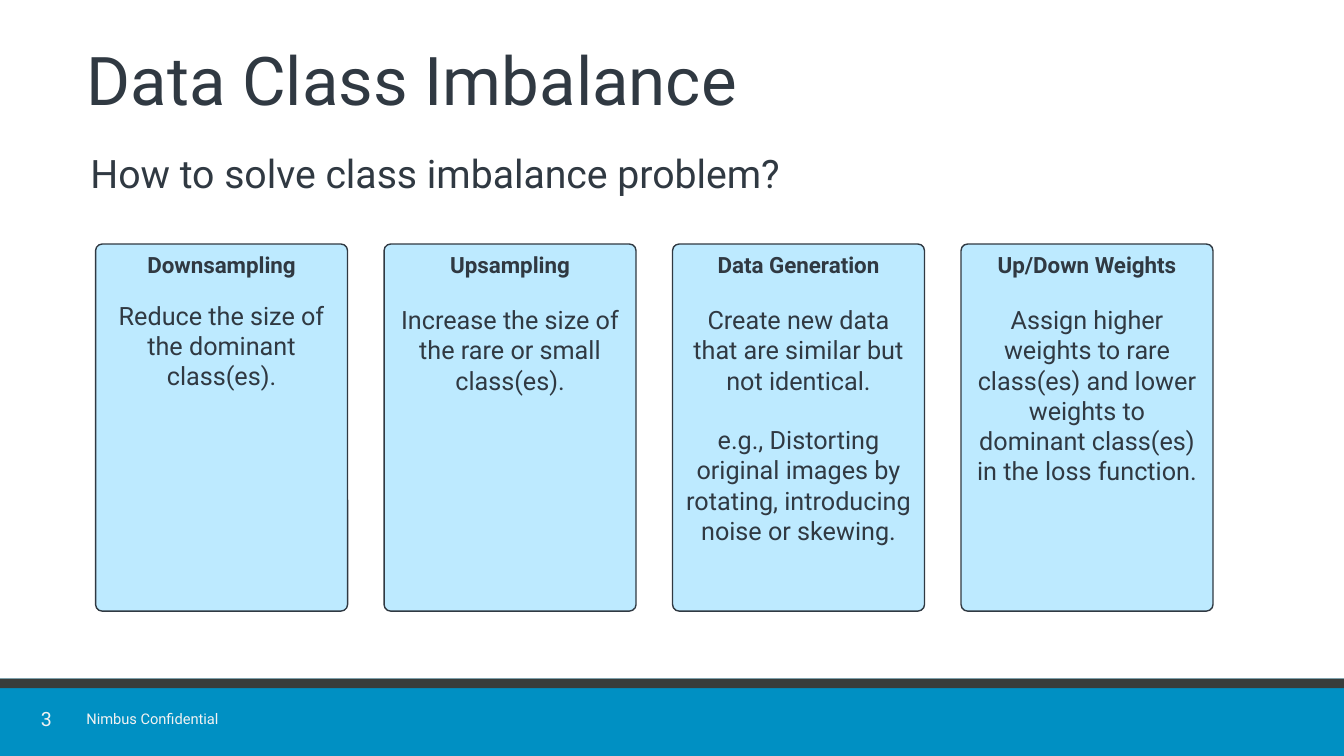
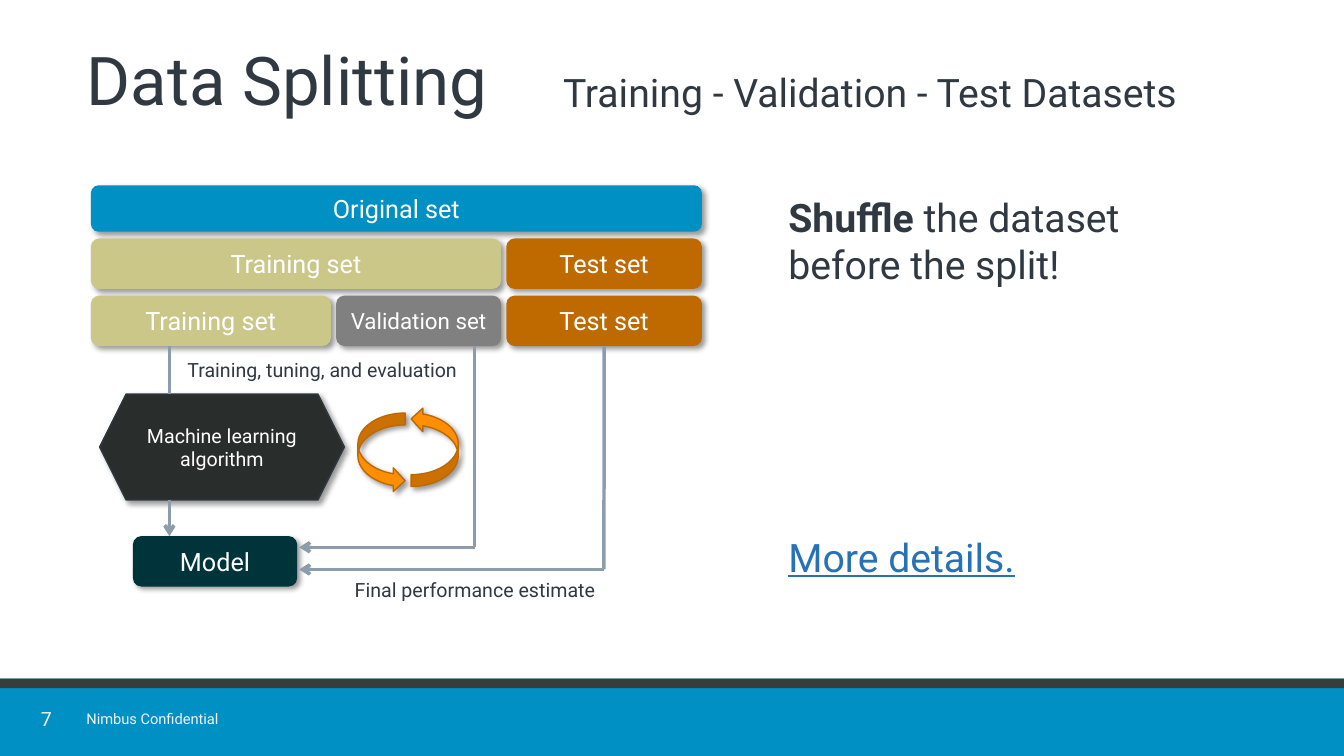
from lxml.etree import SubElement
from pptx import Presentation
from pptx.dml.color import RGBColor
from pptx.enum.shapes import MSO_CONNECTOR, MSO_SHAPE
from pptx.enum.text import MSO_ANCHOR, PP_ALIGN
from pptx.oxml.ns import qn
from pptx.util import Cm, Pt

FONT = "Roboto"
INK = RGBColor(0x30, 0x39, 0x42)
WHITE = RGBColor(0xFF, 0xFF, 0xFF)
FOOTER_TEXT = RGBColor(0xF2, 0xF2, 0xF2)
BLUE = RGBColor(0x00, 0x90, 0xC3)
CHARCOAL = RGBColor(0x38, 0x3D, 0x3B)
PALE_BLUE = RGBColor(0xBD, 0xEA, 0xFF)
KHAKI = RGBColor(0xCA, 0xC7, 0x89)
RUST = RGBColor(0xBF, 0x6A, 0x00)
GRAY = RGBColor(0x80, 0x80, 0x80)
BLACKISH = RGBColor(0x29, 0x2E, 0x2C)
DARK_TEAL = RGBColor(0x00, 0x34, 0x3B)
ORANGE = RGBColor(0xFF, 0x8E, 0x00)
ORANGE_EDGE = RGBColor(0xBD, 0x69, 0x00)
FLOW = RGBColor(0x8C, 0x9C, 0xAC)
LINK = RGBColor(0x27, 0x72, 0xB6)

SLIDE_W, SLIDE_H = 33.87, 19.05
BAND_TOP = 17.1

CARDS = [
    ("Downsampling", 16, ["Reduce the size of the dominant class(es)."]),
    ("Upsampling", 19, ["Increase the size of the rare or small class(es)."]),
    ("Data Generation", 19, [
        "Create new data that are similar but not identical.",
        "e.g., Distorting original images by rotating, introducing noise or skewing."]),
    ("Up/Down Weights", 19, [
        "Assign higher weights to rare class(es) and lower weights to "
        "dominant class(es) in the loss function."]),
]

# Each row: height, then (label, width, fill, text size) from left to right
SPLIT_ROWS = [
    (1.17, [("Original set", 15.4, BLUE, 18)]),
    (1.27, [("Training set", 10.34, KHAKI, 18), ("Test set", 4.93, RUST, 18)]),
    (1.27, [("Training set", 6.05, KHAKI, 18), ("Validation set", 4.16, GRAY, 16),
            ("Test set", 4.93, RUST, 18)]),
]


def add_run(p, text, size, color=INK, bold=False, underline=False):
    r = p.add_run()
    r.text = text
    r.font.name = FONT
    r.font.size = Pt(size)
    r.font.color.rgb = color
    r.font.bold = bold
    r.font.underline = underline


def add_text(slide, x, y, w, h, text, size, **style):
    """Add a one-run text box and return its paragraph."""
    tf = slide.shapes.add_textbox(Cm(x), Cm(y), Cm(w), Cm(h)).text_frame
    tf.word_wrap = True
    p = tf.paragraphs[0]
    add_run(p, text, size, **style)
    return p


def add_shape(slide, kind, x, y, w, h, fill, edge=None, cast_shadow=False):
    sp = slide.shapes.add_shape(kind, Cm(x), Cm(y), Cm(w), Cm(h))
    sp.fill.solid()
    sp.fill.fore_color.rgb = fill
    if edge is None:
        sp.line.fill.background()
    else:
        sp.line.color.rgb = edge
        sp.line.width = Pt(1)
    sp.shadow.inherit = False
    if cast_shadow:
        effects = sp._element.spPr.find(qn("a:effectLst"))
        shadow = SubElement(effects, qn("a:outerShdw"), blurRad=str(Pt(4)),
                            dist=str(Pt(3)), dir="2700000", algn="tl")
        black = SubElement(shadow, qn("a:srgbClr"), val="000000")
        SubElement(black, qn("a:alpha"), val="40000")
    return sp


def add_block(slide, kind, x, y, w, h, label, size, fill, edge=None):
    """Add a shadowed diagram shape with a centred white label."""
    sp = add_shape(slide, kind, x, y, w, h, fill, edge, cast_shadow=True)
    tf = sp.text_frame
    tf.vertical_anchor = MSO_ANCHOR.MIDDLE
    p = tf.paragraphs[0]
    p.alignment = PP_ALIGN.CENTER
    add_run(p, label, size, WHITE)
    return sp


def add_line(slide, x1, y1, x2, y2, arrow=False):
    line = slide.shapes.add_connector(MSO_CONNECTOR.STRAIGHT,
                                      Cm(x1), Cm(y1), Cm(x2), Cm(y2))
    line.line.color.rgb = FLOW
    line.line.width = Pt(2.5)
    if arrow:
        SubElement(line.line._get_or_add_ln(), qn("a:tailEnd"), type="arrow")
    SubElement(line._element.spPr, qn("a:effectLst"))
    return line


def add_base_slide(prs, title, number):
    """Add a slide with its title, bottom bands and footer."""
    slide = prs.slides.add_slide(prs.slide_layouts[5])
    for height, color in ((SLIDE_H - BAND_TOP, BLUE), (0.24, CHARCOAL)):
        add_shape(slide, MSO_SHAPE.RECTANGLE, 0, BAND_TOP, SLIDE_W, height, color)
    p = add_text(slide, 0.42, 17.7, 1.5, 0.85, number, 14, color=FOOTER_TEXT)
    p.alignment = PP_ALIGN.CENTER
    add_text(slide, 1.93, 17.75, 5, 0.71, "Nimbus Confidential", 10.5, color=FOOTER_TEXT)

    sp = slide.shapes.title
    sp.left, sp.top, sp.width, sp.height = Cm(1.93), Cm(0.81), Cm(30.25), Cm(2.74)
    tf = sp.text_frame
    tf.vertical_anchor = MSO_ANCHOR.MIDDLE
    p = tf.paragraphs[0]
    p.alignment = PP_ALIGN.LEFT
    p.line_spacing = 0.8
    add_run(p, title, 48)
    return slide


def add_card(slide, x, heading, gap, body):
    sp = add_shape(slide, MSO_SHAPE.ROUNDED_RECTANGLE, x, 6.15, 6.35, 9.25, PALE_BLUE, INK)
    sp.adjustments[0] = 0.026
    tf = sp.text_frame
    tf.vertical_anchor = MSO_ANCHOR.TOP
    p = tf.paragraphs[0]
    p.alignment = PP_ALIGN.CENTER
    add_run(p, heading, 16, bold=True)
    for i, text in enumerate(body):
        p = tf.add_paragraph()
        p.alignment = PP_ALIGN.CENTER
        p.space_before = Pt(21 if i else gap)
        add_run(p, text, 18)


def add_split_rows(slide):
    """Stack the data set bars; return the last one, the final test set."""
    gap, y = 0.13, 4.67
    for height, bars in SPLIT_ROWS:
        x = 2.29
        for label, width, fill, size in bars:
            bar = add_block(slide, MSO_SHAPE.ROUNDED_RECTANGLE, x, y, width, height,
                            label, size, fill)
            x += width + gap
        y += height + 0.17
    return bar


def add_cycle(slide):
    for kind, x, y, flipped in ((MSO_SHAPE.CURVED_RIGHT_ARROW, 9.02, 10.41, False),
                                (MSO_SHAPE.CURVED_LEFT_ARROW, 10.36, 10.26, True)):
        sp = add_shape(slide, kind, x, y, 1.19, 2, ORANGE, ORANGE_EDGE, cast_shadow=True)
        if flipped:
            sp._element.spPr.find(qn("a:xfrm")).set("flipV", "1")


def build_imbalance(prs):
    slide = add_base_slide(prs, "Data Class Imbalance", "3")
    add_text(slide, 2.03, 3.63, 30.68, 1.5, "How to solve class imbalance problem?", 28)
    for i, (heading, gap, body) in enumerate(CARDS):
        add_card(slide, 2.41 + i * 7.27, heading, gap, body)


def build_splitting(prs):
    slide = add_base_slide(prs, "Data Splitting", "7")
    test_bar = add_split_rows(slide)
    add_block(slide, MSO_SHAPE.HEXAGON, 2.51, 9.93, 6.17, 2.67,
              "Machine learning algorithm", 14, BLACKISH, INK)
    add_block(slide, MSO_SHAPE.ROUNDED_RECTANGLE, 3.35, 13.51, 4.14, 1.27,
              "Model", 18, DARK_TEAL)
    add_cycle(slide)

    bars_bottom, model_side = 8.72, 7.54
    train_x, valid_x, test_x = 4.27, 11.96, 15.22
    valid_y, test_y = 13.79, 14.35
    add_line(slide, train_x, bars_bottom, train_x, 9.93)
    add_line(slide, train_x, 12.6, train_x, 13.51, arrow=True)
    add_line(slide, valid_x, bars_bottom, valid_x, valid_y)
    add_line(slide, valid_x, valid_y, model_side, valid_y, arrow=True)
    add_line(slide, test_x, bars_bottom, test_x, test_y).begin_connect(test_bar, 2)
    add_line(slide, test_x, test_y, model_side, test_y, arrow=True)

    add_text(slide, 4.47, 8.89, 7.72, 0.86, "Training, tuning, and evaluation", 14)
    add_text(slide, 8.69, 14.45, 6.73, 0.86, "Final performance estimate", 14)
    add_text(slide, 13.94, 1.6, 17, 1.45, "Training - Validation - Test Datasets", 28)
    p = add_text(slide, 19.62, 4.75, 11.3, 2.64, "Shuffle", 28, bold=True)
    add_run(p, " the dataset before the split!", 28)
    add_text(slide, 19.62, 13.31, 12.32, 1.45, "More details.", 28, color=LINK, underline=True)


def main():
    prs = Presentation()
    prs.slide_width, prs.slide_height = Cm(SLIDE_W), Cm(SLIDE_H)
    build_imbalance(prs)
    build_splitting(prs)
    prs.save("out.pptx")


if __name__ == "__main__":
    main()
